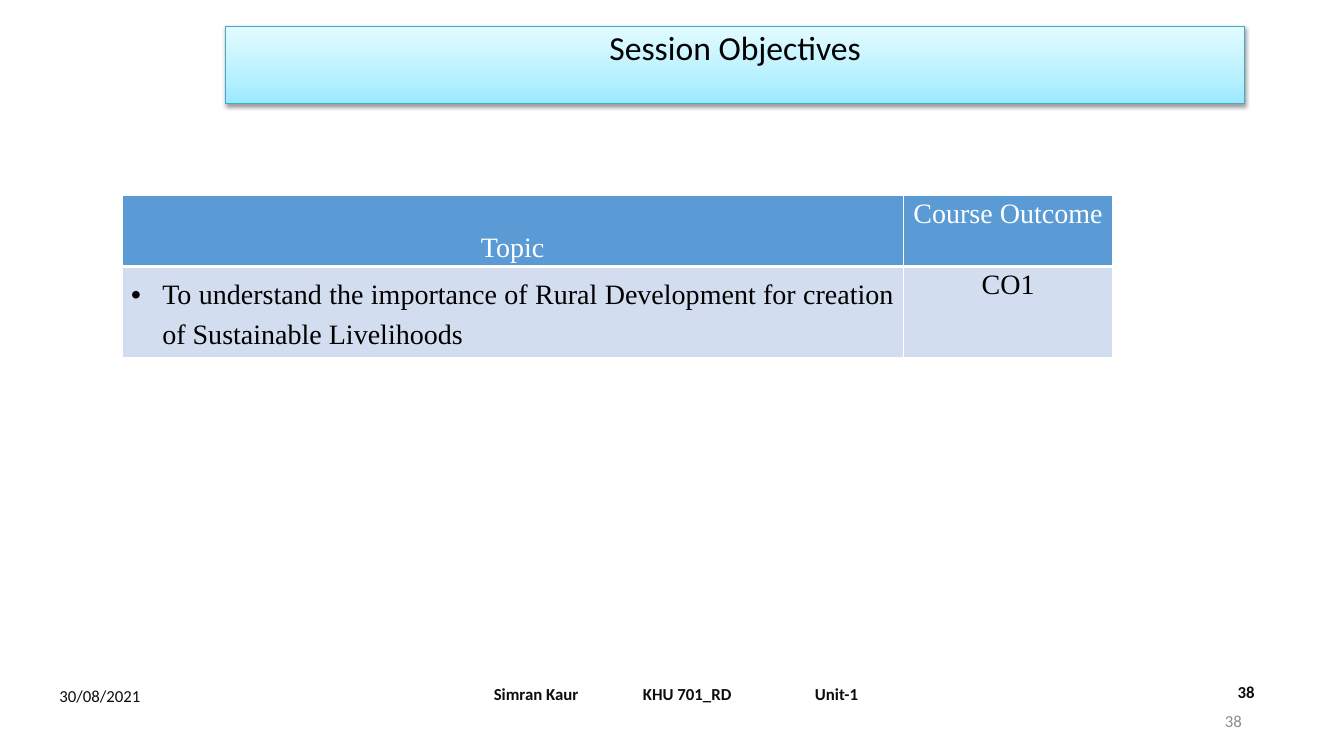
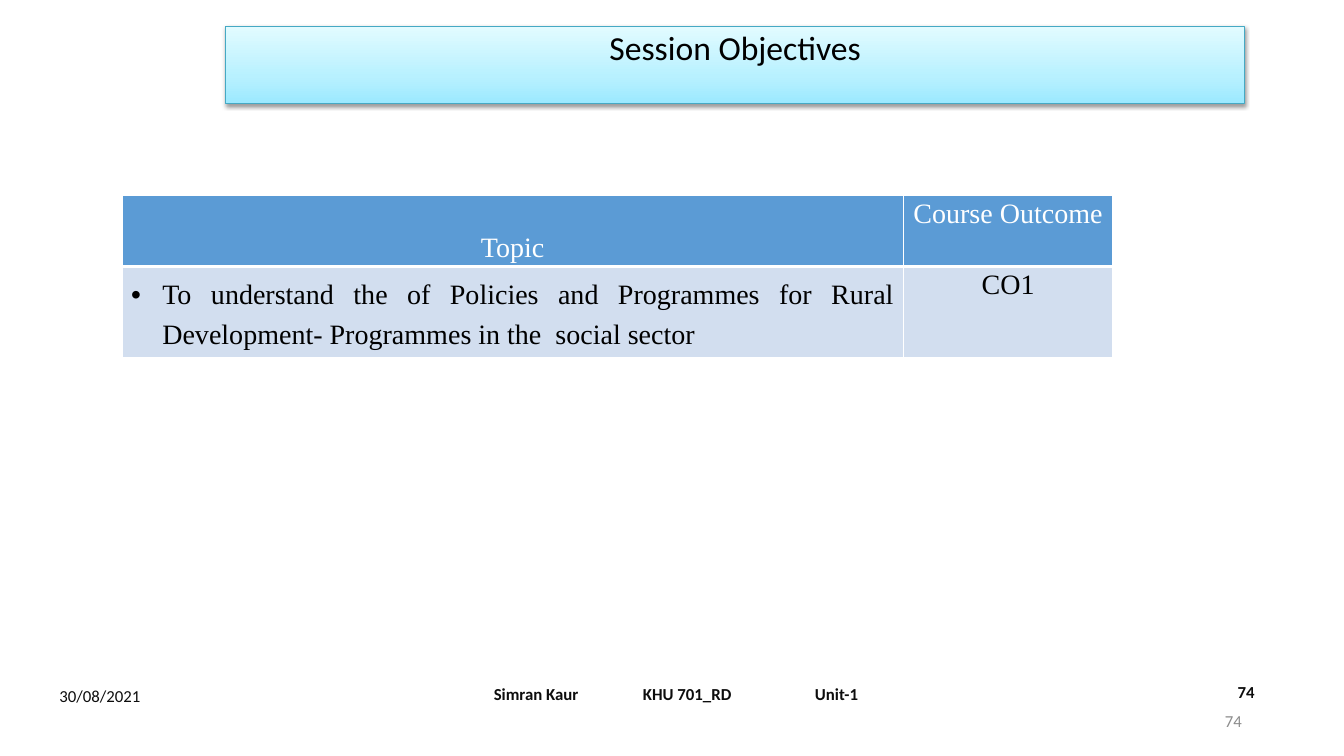
from pptx import Presentation
from pptx.dml.color import RGBColor
from pptx.enum.text import MSO_ANCHOR as ANCHOR, MSO_AUTO_SIZE, PP_ALIGN as ALIGN
from pptx.oxml import parse_xml
from pptx.oxml.ns import nsdecls
from pptx.util import Inches, Pt

BLACK = RGBColor(0x00, 0x00, 0x00)
WHITE = RGBColor(0xFF, 0xFF, 0xFF)
INK = RGBColor(0x0D, 0x0D, 0x0D)
GREY = RGBColor(0x8C, 0x8C, 0x8C)
TEAL = RGBColor(0x45, 0xA9, 0xC4)
HEADER_BLUE = RGBColor(0x5B, 0x9B, 0xD5)
ROW_BLUE = RGBColor(0xD2, 0xDE, 0xEF)
BAND_STOPS = [
    (0, RGBColor(0x9B, 0xE9, 0xFF)),
    (35, RGBColor(0xB8, 0xF1, 0xFF)),
    (100, RGBColor(0xE2, 0xFB, 0xFF)),
]
SANS, SERIF = "Calibri", "Times New Roman"
TITLE_ONLY = 5


def element(tag, attrs="", inner=""):
    return parse_xml(f"<a:{tag} {nsdecls('a')} {attrs}>{inner}</a:{tag}>")


def rgb(color, inner=""):
    return f'<a:srgbClr val="{color}">{inner}</a:srgbClr>'


class Deck:
    """Holds the shared style and the current slide; lengths are percent of the slide."""

    def __init__(self):
        self.prs = Presentation()
        self.prs.slide_width = Inches(13.33)
        self.prs.slide_height = Inches(7.5)
        self.slide = None

    def across(self, share):
        return round(self.prs.slide_width * share / 100)

    def down(self, share):
        return round(self.prs.slide_height * share / 100)

    def box(self, x, y, w, h):
        return self.across(x), self.down(y), self.across(w), self.down(h)

    def paragraph(self, p, text, size, color=BLACK, font=SANS, bold=False,
                  align=ALIGN.LEFT, spacing=None, extras=()):
        """Fill a paragraph; extras are bullet or tab elements, in schema order."""
        p.text = text
        p.alignment = align
        if spacing:
            p.line_spacing = spacing
        for extra in extras:
            p._p.get_or_add_pPr().append(extra)
        f = p.font
        f.size, f.name, f.bold = Pt(size), font, bold
        f.color.rgb = color

    def title(self, text):
        self.slide = self.prs.slides.add_slide(self.prs.slide_layouts[TITLE_ONLY])
        sp = self.slide.shapes.title
        sp.left, sp.top, sp.width, sp.height = self.box(16.8, 3.47, 75.8, 10.27)
        stops = "".join(f'<a:gs pos="{pos * 1000}">{rgb(c)}</a:gs>'
                        for pos, c in BAND_STOPS)
        props = sp.element.spPr
        props.append(element("prstGeom", 'prst="rect"', "<a:avLst/>"))
        props.append(element(
            "gradFill", 'rotWithShape="1"',
            f'<a:gsLst>{stops}</a:gsLst><a:lin ang="16200000" scaled="0"/>'))
        sp.line.color.rgb = TEAL
        sp.line.width = Pt(0.75)
        shade = rgb(BLACK, '<a:alpha val="38000"/>')
        props.append(element(
            "effectLst", "",
            f'<a:outerShdw blurRad="{Pt(3.1)}" dist="{Pt(1.6)}" dir="5400000" '
            f'rotWithShape="0">{shade}</a:outerShdw>'))
        tf = sp.text_frame
        tf.auto_size = MSO_AUTO_SIZE.NONE
        tf.vertical_anchor = ANCHOR.TOP
        self.paragraph(tf.paragraphs[0], text, 24, align=ALIGN.CENTER, spacing=0.9)

    def label(self, text, x, y, w, h, anchor=ANCHOR.MIDDLE, **style):
        tf = self.slide.shapes.add_textbox(*self.box(x, y, w, h)).text_frame
        tf.word_wrap = True
        tf.vertical_anchor = anchor
        self.paragraph(tf.paragraphs[0], text, 12, **{"color": INK, **style})

    def footer(self, date, parts, number):
        stops = "".join(f'<a:tab pos="{self.across(x)}" algn="l"/>'
                        for x in (11.1, 23.9))
        self.label("\t".join(parts), 36, 89.07, 32, 5.33, bold=True,
                   extras=[element("tabLst", "", stops)])
        self.label(date, 3.68, 88.8, 17.8, 6.53)
        self.label(number, 91.35, 89.47, 6, 5.47, anchor=ANCHOR.TOP, bold=True)
        self.label(number, 70.65, 92.67, 22.5, 5.33, color=GREY, align=ALIGN.RIGHT)

    def cell(self, cell, text, fill, borders, anchor=ANCHOR.TOP, **style):
        """Borders are the widths of the left, right, top and bottom lines."""
        cell.margin_left = cell.margin_right = Inches(0.09)
        cell.margin_top = cell.margin_bottom = Inches(0.03)
        cell.vertical_anchor = anchor
        props = cell._tc.get_or_add_tcPr()
        for side, width in zip("LRTB", borders):
            props.append(element(f"ln{side}", f'w="{Pt(width)}"',
                                 f"<a:solidFill>{rgb(WHITE)}</a:solidFill>"))
        cell.fill.solid()
        cell.fill.fore_color.rgb = fill
        self.paragraph(cell.text_frame.paragraphs[0], text, 20, font=SERIF,
                       **{"align": ALIGN.CENTER, **style})

    def outcome_table(self, objective, outcome):
        cols, rows = (58.13, 15.6), (9.4, 12)
        frame = self.slide.shapes.add_table(
            2, 2, *self.box(9.08, 25.87, sum(cols), sum(rows)))
        table = frame.table
        table.horz_banding = False
        for col, share in zip(table.columns, cols):
            col.width = self.across(share)
        for row, share in zip(table.rows, rows):
            row.height = self.down(share)

        header = dict(fill=HEADER_BLUE, borders=(1, 1, 1, 3), color=WHITE)
        self.cell(table.cell(0, 0), "Topic", anchor=ANCHOR.BOTTOM, **header)
        self.cell(table.cell(0, 1), "Course Outcome", **header)

        body = dict(fill=ROW_BLUE, borders=(1, 1, 3, 1))
        bullet = [element("buClr", "", rgb(BLACK)),
                  element("buFont", 'typeface="Arial"'),
                  element("buChar", 'char="•"')]
        topic = table.cell(1, 0)
        self.cell(topic, objective, align=ALIGN.JUSTIFY, spacing=1.31,
                  extras=bullet, **body)
        pPr = topic.text_frame.paragraphs[0]._p.get_or_add_pPr()
        pPr.set("marL", str(Inches(0.31)))
        pPr.set("indent", str(-Inches(0.31)))
        self.cell(table.cell(1, 1), outcome, **body)


def main():
    sessions = [
        ("38", "To understand the importance of Rural Development for creation "
               "of Sustainable Livelihoods"),
        ("74", "To understand the of Policies and Programmes for Rural "
               "Development- Programmes in the  social sector"),
    ]
    deck = Deck()
    for number, objective in sessions:
        deck.title("Session Objectives")
        deck.outcome_table(objective, "CO1")
        deck.footer("30/08/2021", ("Simran Kaur", "KHU 701_RD", "Unit-1"), number)
    deck.prs.save("out.pptx")


if __name__ == "__main__":
    main()
